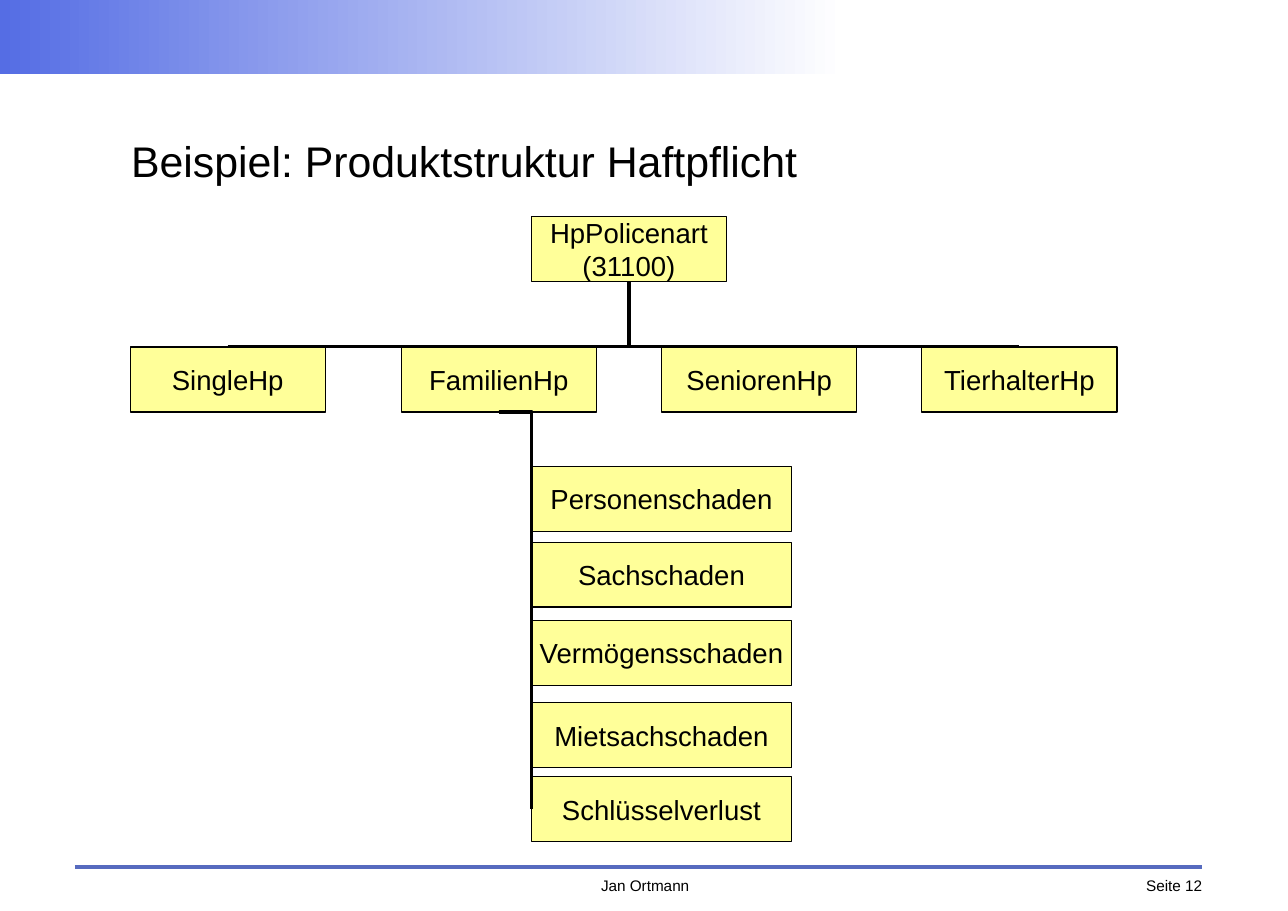
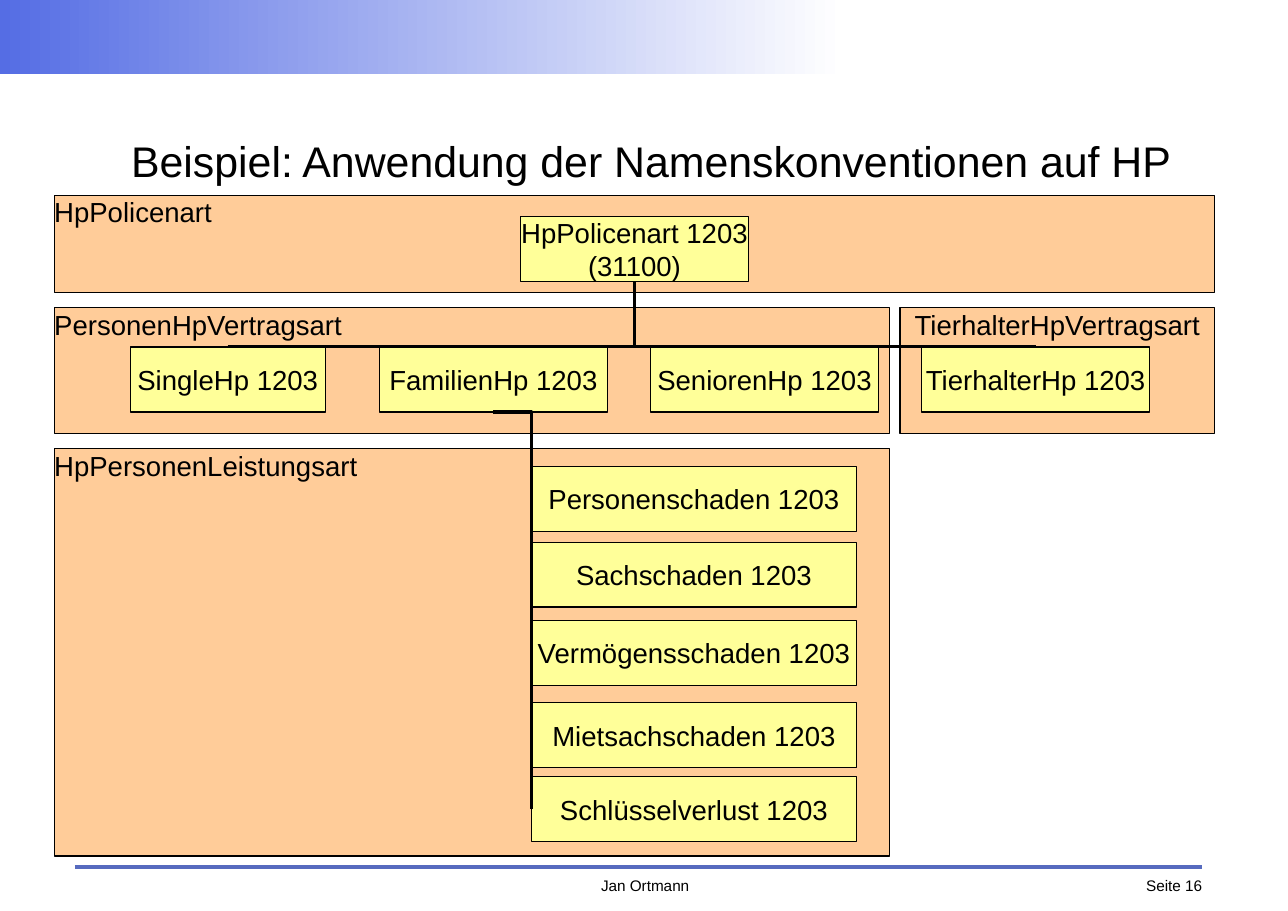
from pptx import Presentation
from pptx.util import Pt
from pptx.dml.color import RGBColor
from pptx.enum.shapes import MSO_SHAPE as Shape, MSO_CONNECTOR as Link
from pptx.enum.text import MSO_ANCHOR as Anchor, PP_ALIGN as Align
from pptx.oxml.ns import qn
from lxml import etree

WIDE, HIGH = 841.68, 595.44
FONT = "Arial"
COLORS = {
    "text": "000000",
    "line": "000000",
    "node": "FFFF99",
    "group": "FFCC99",
    "rule": "576BBF",
    "band": "556DE4",
    "fade": "FFFFFF",
}
NODE_H = 42.5
ROOT_Y, KID_Y = 141.7, 226.8
ITEM_X = 347.2
KIDS = ["SingleHp", "FamilienHp", "SeniorenHp", "TierhalterHp"]
ITEMS = {
    "Personenschaden": 304.7,
    "Sachschaden": 354.3,
    "Vermögensschaden": 405.4,
    "Mietsachschaden": 459.2,
    "Schlüsselverlust": 507.6,
}
GROUPS = [
    ("HpPersonenLeistungsart", (35.4, 293.2, 545.7, 266.4), Align.LEFT),
    ("TierhalterHpVertragsart", (588.2, 201.3, 205.5, 82.2), Align.CENTER),
    ("PersonenHpVertragsart", (35.4, 201.3, 545.7, 82.2), Align.LEFT),
    ("HpPolicenart", (35.4, 127.6, 758.3, 63.8), Align.LEFT),
]


def color(name):
    return RGBColor.from_string(COLORS[name])


def write(shape, text, size=18, align=Align.CENTER, anchor=Anchor.MIDDLE):
    frame = shape.text_frame
    frame.word_wrap = True
    frame.vertical_anchor = anchor
    frame.margin_left = frame.margin_right = 0
    frame.margin_top = frame.margin_bottom = 0
    frame.text = text
    for para in frame.paragraphs:
        para.alignment = align
        para.font.size = Pt(size)
        para.font.name = FONT
        para.font.color.rgb = color("text")


def label(slide, text, place, **style):
    write(slide.shapes.add_textbox(*map(Pt, place)), text, **style)


def box(slide, text, place, fill="node", **style):
    shape = slide.shapes.add_shape(Shape.RECTANGLE, *map(Pt, place))
    shape.shadow.inherit = False
    shape.fill.solid()
    shape.fill.fore_color.rgb = color(fill)
    shape.line.color.rgb = color("line")
    shape.line.width = Pt(0)
    write(shape, text, **style)
    return shape


def line(slide, kind, start, end, tint="line", width=0):
    link = slide.shapes.add_connector(kind, *start, *end)
    link.line.color.rgb = color(tint)
    link.line.width = Pt(width)
    etree.SubElement(link._element.spPr, qn("a:effectLst"))
    return link


def bend(slide, start, end):
    """Draw an elbow with one corner: first across, then up or down."""
    link = line(slide, Link.ELBOW, start, end)
    link._element.spPr.find(qn("a:prstGeom")).set("prst", "bentConnector2")


def top(shape):
    return shape.left + shape.width // 2, shape.top


def bottom(shape):
    return shape.left + shape.width // 2, shape.top + shape.height


def left(shape):
    return shape.left, shape.top + shape.height // 2


def band(slide):
    shape = slide.shapes.add_shape(Shape.RECTANGLE, 0, 0, Pt(552.2), Pt(48.2))
    shape.shadow.inherit = False
    shape.line.fill.background()
    shape.fill.gradient()
    shape.fill.gradient_angle = 0
    for stop, name, spot in zip(shape.fill.gradient_stops, ("band", "fade"), (0, 1)):
        stop.color.rgb = color(name)
        stop.position = spot


def page(deck, title, number, groups=()):
    """Add a slide with band, footer, group areas and title."""
    slide = deck.slides.add_slide(deck.slide_layouts[6])
    line(slide, Link.STRAIGHT, (Pt(49), Pt(566.6)), (Pt(785.5), Pt(566.6)),
         tint="rule", width=2.83)
    label(slide, f"Seite {number}", (704, 572.4, 81.5, 14),
          size=10, align=Align.RIGHT, anchor=Anchor.TOP)
    label(slide, "Jan Ortmann", (363.6, 572.4, 116, 14),
          size=10, anchor=Anchor.TOP)
    band(slide)
    for text, place, align in groups:
        box(slide, text, place, fill="group", align=align, anchor=Anchor.TOP)
    label(slide, title, (85.7, 68.4, 686, 73.4), size=28, align=Align.LEFT)
    return slide


def tree(slide, root, kids, width, tail=""):
    """Draw the products; root and kids are (left, width) pairs."""
    head = box(slide, f"HpPolicenart{tail}\n(31100)",
               (root[0], ROOT_Y, root[1], NODE_H))
    row = [box(slide, name + tail, (x, KID_Y, wide, NODE_H))
           for name, (x, wide) in zip(KIDS, kids)]
    stack = [box(slide, name + tail, (ITEM_X, y, width, NODE_H))
             for name, y in ITEMS.items()]
    family = row[KIDS.index("FamilienHp")]
    for item in stack:
        bend(slide, bottom(family), left(item))
    for kid in row:
        bend(slide, top(kid), bottom(head))


def main():
    deck = Presentation()
    deck.slide_width, deck.slide_height = Pt(WIDE), Pt(HIGH)

    slide = page(deck, "Beispiel: Produktstruktur Haftpflicht", 12)
    slim, broad = 127.6, 148.8
    tree(slide, (347.2, slim),
         [(x, slim) for x in (85, 262.2, 432.3, 602.4)], 170.1)

    slide = page(deck, "Beispiel: Anwendung der Namenskonventionen auf HP", 16,
                 GROUPS)
    tree(slide, (340.2, broad),
         [(85, slim), (248, broad), (425.2, broad), (602.4, broad)],
         212.6, tail=" 1203")

    deck.save("out.pptx")


if __name__ == "__main__":
    main()
